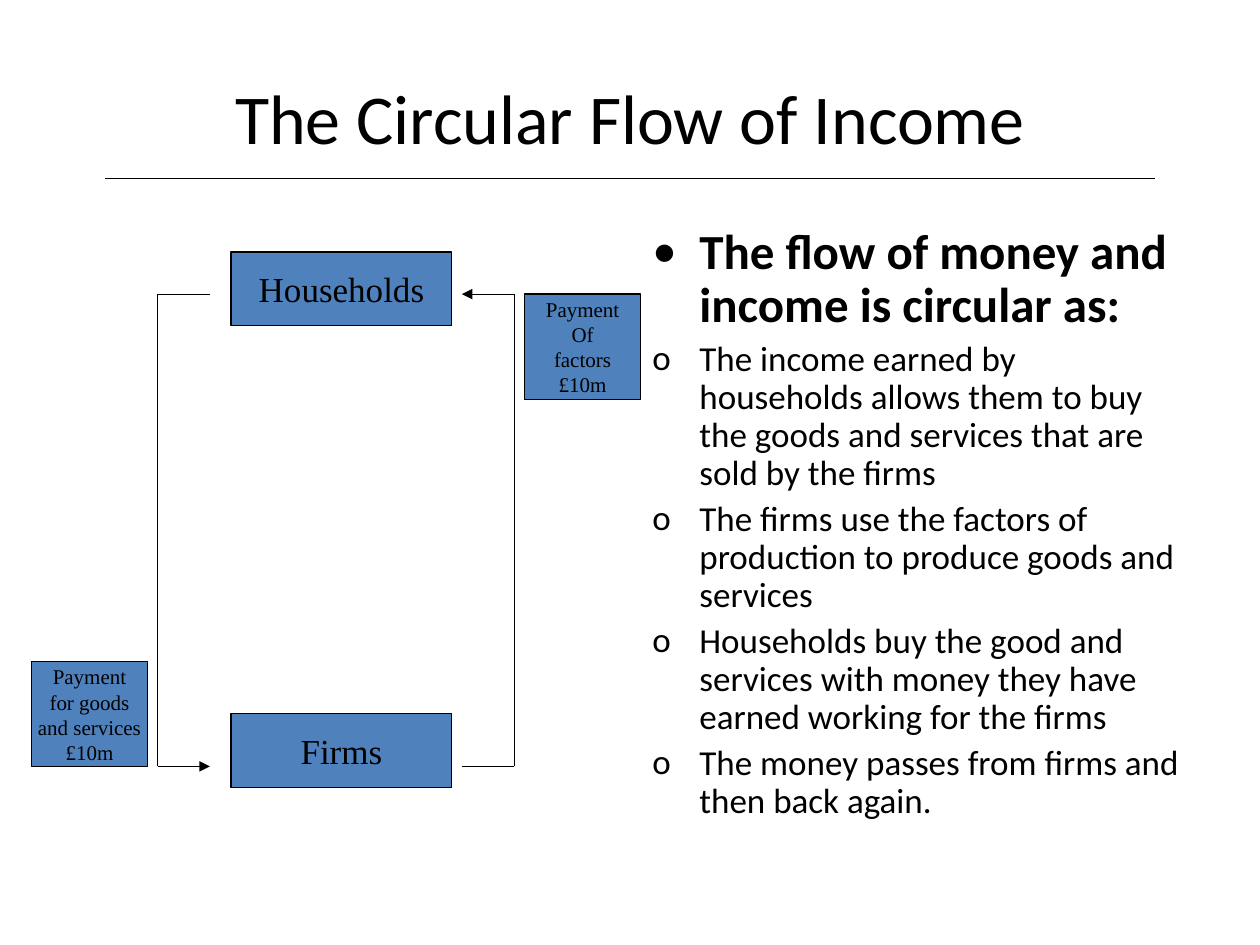
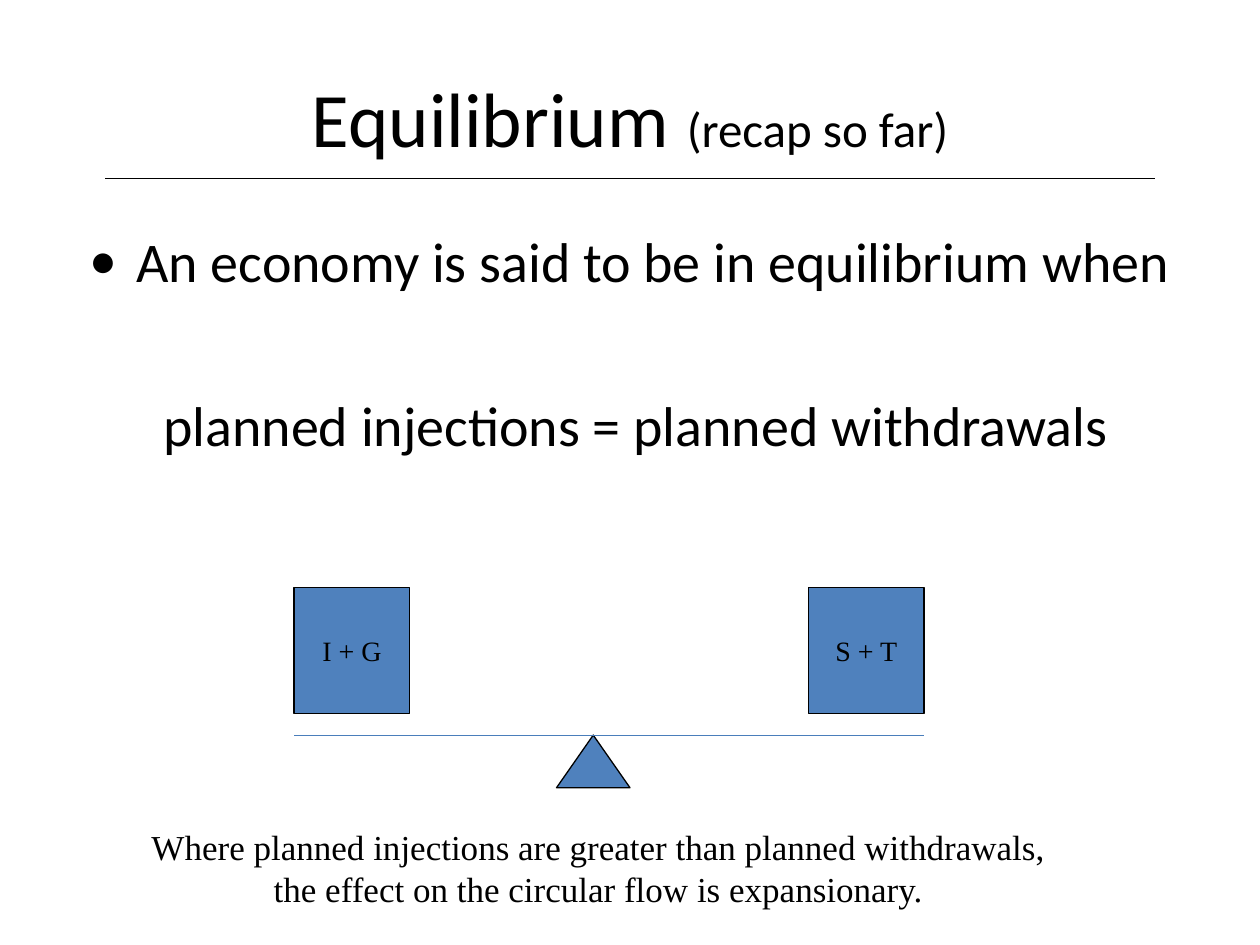
from dataclasses import dataclass

from lxml.etree import SubElement
from pptx import Presentation
from pptx.dml.color import RGBColor
from pptx.enum.shapes import MSO_CONNECTOR, MSO_SHAPE
from pptx.enum.text import MSO_ANCHOR, PP_ALIGN
from pptx.oxml.ns import qn
from pptx.util import Cm, Pt


@dataclass(frozen=True)
class Theme:
    ink: RGBColor = RGBColor(0x00, 0x00, 0x00)
    fill: RGBColor = RGBColor(0x4F, 0x81, 0xBD)
    beam: RGBColor = RGBColor(0x4A, 0x7E, 0xBB)
    heading_font: str = "Calibri"
    diagram_font: str = "Times New Roman"
    title_large: int = 44
    title: int = 40
    statement: int = 32
    lead: int = 28
    body: int = 20
    weight: int = 16
    label: int = 12
    line: float = 0.75


THEME = Theme()


# Text
def add_span(para, text, size, font=THEME.heading_font, bold=False):
    span = para.add_run()
    span.text = text
    span.font.name = font
    span.font.size = Pt(size)
    span.font.bold = bold
    span.font.color.rgb = THEME.ink


def add_text_box(slide, left, top, width, height, anchor=MSO_ANCHOR.TOP):
    box = slide.shapes.add_textbox(Cm(left), Cm(top), Cm(width), Cm(height))
    box.text_frame.word_wrap = True
    box.text_frame.vertical_anchor = anchor
    return box.text_frame


def set_bullet(para, mark, indent=Cm(0.95)):
    properties = para._p.get_or_add_pPr()
    properties.set("marL", str(indent))
    properties.set("indent", str(-indent))
    SubElement(properties, qn("a:buFont"), typeface=THEME.heading_font)
    SubElement(properties, qn("a:buChar"), char=mark)


def add_title(slide, *spans):
    frame = add_text_box(slide, 1.27, 0.76, 22.86, 3.18, MSO_ANCHOR.MIDDLE)
    para = frame.paragraphs[0]
    para.alignment = PP_ALIGN.CENTER
    for text, size in spans:
        add_span(para, text, size)
    add_line(slide, (2.12, 3.6), (23.28, 3.6))


# Diagram parts
def add_line(slide, start, end, color=THEME.ink, arrow=False):
    ends = [Cm(value) for value in (*start, *end)]
    line = slide.shapes.add_connector(MSO_CONNECTOR.STRAIGHT, *ends)
    line.line.color.rgb = color
    line.line.width = Pt(THEME.line)
    if arrow:
        SubElement(line.line._get_or_add_ln(), qn("a:tailEnd"), type="triangle")
    SubElement(line._element.spPr, qn("a:effectLst"))


def add_block(slide, left, top, width, height, lines=(), size=THEME.body,
              kind=MSO_SHAPE.RECTANGLE):
    block = slide.shapes.add_shape(kind, Cm(left), Cm(top), Cm(width), Cm(height))
    block.shadow.inherit = False
    block.fill.solid()
    block.fill.fore_color.rgb = THEME.fill
    block.line.color.rgb = THEME.ink
    block.line.width = Pt(THEME.line)
    frame = block.text_frame
    frame.word_wrap = False
    frame.vertical_anchor = MSO_ANCHOR.MIDDLE
    for number, text in enumerate(lines):
        para = frame.add_paragraph() if number else frame.paragraphs[0]
        para.alignment = PP_ALIGN.CENTER
        add_span(para, text, size, THEME.diagram_font)


def add_flow(slide, side, stub, start, end):
    """Three-sided path: out from start, along the side, arrow in at end."""
    add_line(slide, (stub, start), (side, start))
    add_line(slide, (side, start), (side, end))
    add_line(slide, (side, end), (stub, end), arrow=True)


# Slides
def build_circular_flow(slide):
    add_title(slide, ("The Circular Flow of Income", THEME.title))

    # Explanation
    frame = add_text_box(slide, 12.9, 4.45, 11.23, 12.57)
    lead = frame.paragraphs[0]
    set_bullet(lead, "•")
    lead.line_spacing = 0.9
    add_span(lead, "The flow of money and income is circular as:", THEME.lead, bold=True)
    for reason in (
        "The income earned by households allows them to buy the goods and "
        "services that are sold by the firms",
        "The firms use the factors of production to produce goods and services",
        "Households buy the good and services with money they have earned "
        "working for the firms",
        "The money passes from firms and then back again.",
    ):
        para = frame.add_paragraph()
        set_bullet(para, "o")
        para.line_spacing = 0.9
        para.space_before = Pt(5)
        add_span(para, reason, THEME.body)

    # Sectors and the payments between them
    household_level, firm_level = 5.93, 15.45
    for name, top in (("Households", 5.08), ("Firms", 14.39)):
        add_block(slide, 4.66, top, 4.45, 1.48, [name])
    add_flow(slide, 3.18, 4.23, household_level, firm_level)
    add_flow(slide, 10.37, 9.31, firm_level, household_level)
    for left, top, lines in (
        (10.58, household_level, ("Payment", "Of", "factors", "£10m")),
        (0.64, 13.34, ("Payment", "for goods", "and services", "£10m")),
    ):
        add_block(slide, left, top, 2.33, 2.12, lines, THEME.label)


def build_equilibrium(slide):
    add_title(slide, ("Equilibrium ", THEME.title_large), ("(recap so far)", THEME.lead))

    # Condition
    frame = add_text_box(slide, 1.27, 4.45, 22.86, 11.85)
    condition = frame.paragraphs[0]
    set_bullet(condition, "•")
    equation = frame.add_paragraph()
    equation._p.get_or_add_pPr().set("marL", str(Cm(0.25)))
    equation.space_before = Pt(55)
    for para, text in (
        (condition, "An economy is said to be in equilibrium when"),
        (equation, "planned injections = planned withdrawals"),
    ):
        para.alignment = PP_ALIGN.CENTER
        add_span(para, text, THEME.statement)

    # Balance
    beam_left, beam_right, beam_level = 5.93, 18.63, 14.82
    weight_width = 2.33
    add_block(slide, 11.22, beam_level, 1.48, 1.06, kind=MSO_SHAPE.ISOSCELES_TRIANGLE)
    for left, name in ((beam_left, "I + G"), (beam_right - weight_width, "S + T")):
        add_block(slide, left, 11.85, weight_width, 2.54, [name], THEME.weight)
    add_line(slide, (beam_left, beam_level), (beam_right, beam_level), THEME.beam)

    # Conclusion
    para = add_text_box(slide, 2.33, 16.51, 19.47, 2.54).paragraphs[0]
    para.alignment = PP_ALIGN.CENTER
    add_span(para, "Where planned injections are greater than planned withdrawals, "
             "the effect on the circular flow is expansionary.",
             THEME.body, THEME.diagram_font)


def main():
    deck = Presentation()
    deck.slide_width, deck.slide_height = Cm(25.4), Cm(19.05)
    blank = deck.slide_layouts[6]
    for build in (build_circular_flow, build_equilibrium):
        build(deck.slides.add_slide(blank))
    deck.save("out.pptx")


if __name__ == "__main__":
    main()
